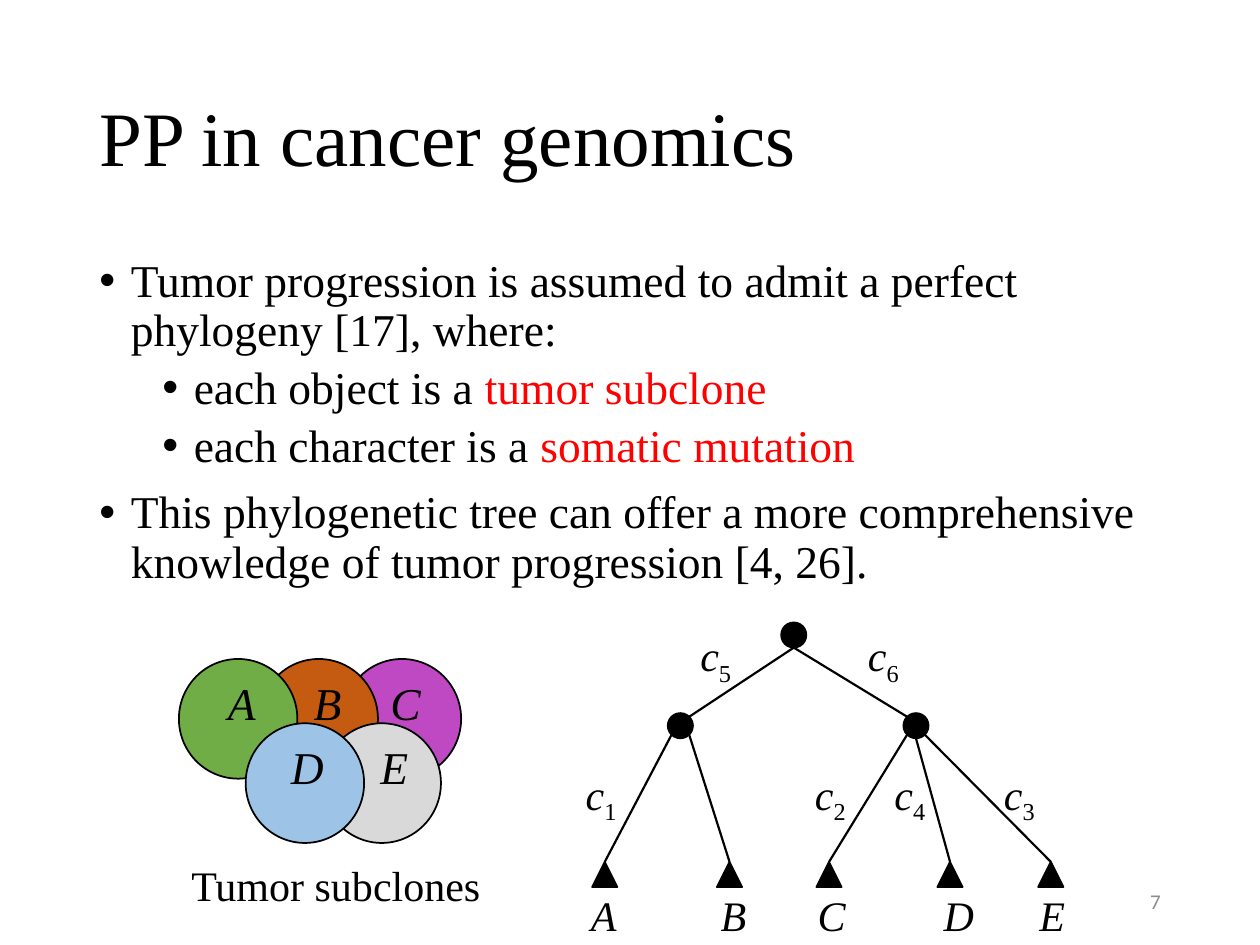
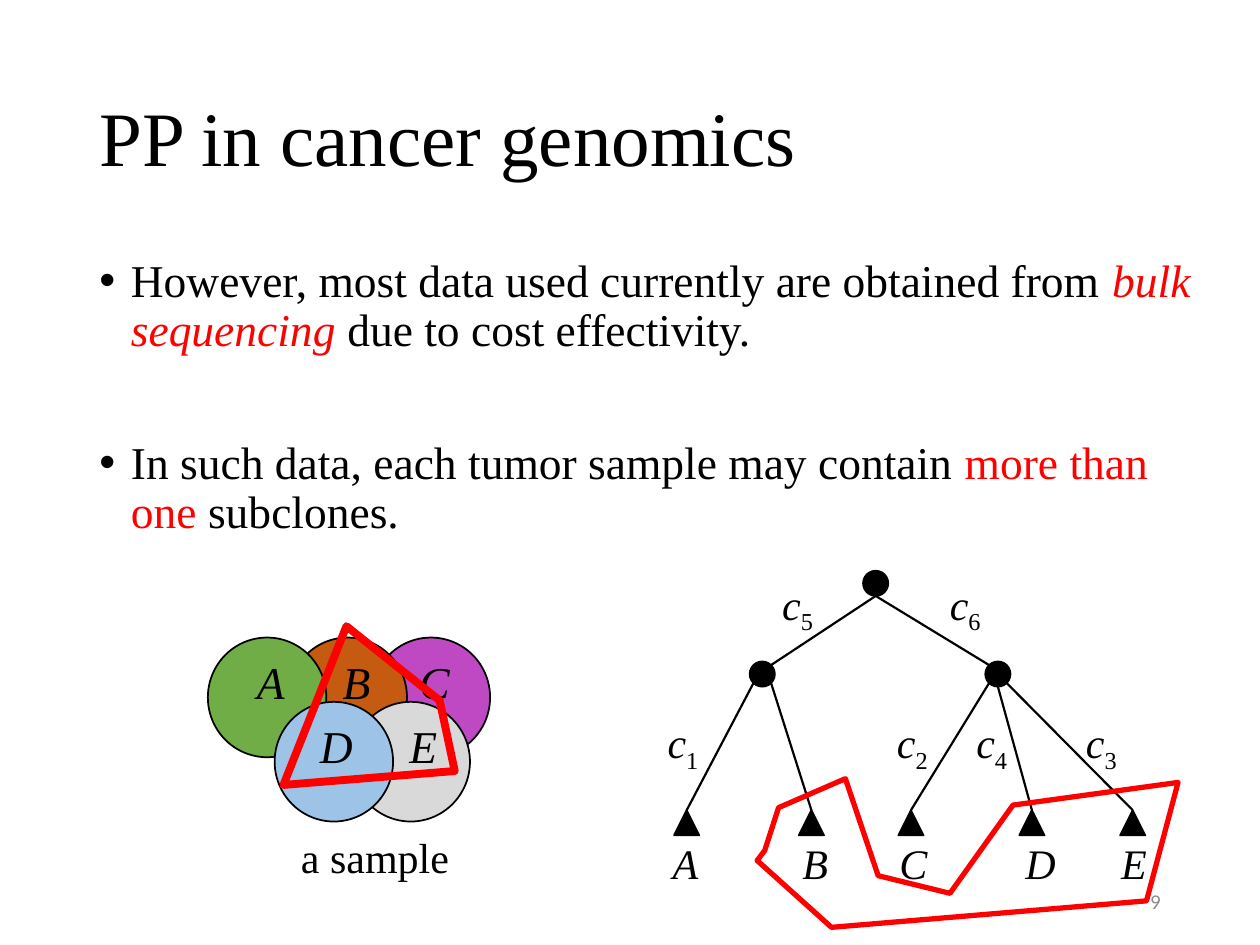
from dataclasses import dataclass
from math import sqrt
from typing import NamedTuple

from lxml.etree import SubElement
from pptx import Presentation
from pptx.dml.color import RGBColor
from pptx.enum.shapes import MSO_CONNECTOR, MSO_SHAPE
from pptx.enum.text import MSO_ANCHOR, MSO_AUTO_SIZE, PP_ALIGN
from pptx.oxml.ns import qn
from pptx.util import Inches, Pt


@dataclass(frozen=True)
class Theme:
    font: str = "Times New Roman"
    number_font: str = "Calibri"
    ink: str = "000000"
    accent: str = "FF0000"
    muted: str = "8C8C8C"
    title: int = 44
    body: int = 26
    label: int = 24
    number: int = 12
    outline: float = 1
    edge: float = 1.25


class Run(NamedTuple):
    text: str
    color: str = "000000"
    italic: bool = False
    subscript: bool = False


class Bullet(NamedTuple):
    runs: list[Run]
    level: int = 0
    before: int = 10


class Box(NamedTuple):
    x: float
    y: float
    w: float
    h: float


class Subclone(NamedTuple):
    name: str
    dx: float
    dy: float
    color: str
    label_dx: float
    label_w: float


class Leaf(NamedTuple):
    name: str
    dx: float
    parent_dx: float
    rim_dx: float
    label_dx: float
    label_w: float


class EdgeLabel(NamedTuple):
    number: str
    dx: float
    dy: float
    w: float = 0.46


class Outline(NamedTuple):
    points: list[tuple[float, float]]
    width: float


@dataclass(frozen=True)
class Page:
    number: str
    body: Box
    bullets: list[Bullet]
    cluster: tuple[float, float]
    caption: str
    caption_box: Box
    root: tuple[float, float]
    outlines: tuple[Outline, ...] = ()


T = Theme()
TITLE = "PP in cancer genomics"
CIRCLE_W, CIRCLE_H = 0.94, 0.95
NODE, RADIUS, RIM_DX = 0.2, 0.1, 0.07
CHILD_DX, CHILD_DY = (-0.9, 0.97), 0.72
LEAF_DY, LEAF_LABEL_DY = 1.8, 1.97

# Listed from back to front; places are relative to the cluster corner.
SUBCLONES = [
    Subclone("C", 1.3, 0, "BF49C2", 0.28, 0.45),
    Subclone("B", 0.64, 0, "C55A11", 0.33, 0.42),
    Subclone("E", 1.14, 0.51, "D9D9D9", 0.36, 0.42),
    Subclone("A", 0, 0, "70AD47", 0.29, 0.42),
    Subclone("D", 0.53, 0.51, "9DC3E6", 0.26, 0.46),
]
# Places are relative to the centre of the root.
LEAVES = [
    Leaf("A", -1.5, CHILD_DX[0], -RIM_DX, -1.71, 0.41),
    Leaf("B", -0.51, CHILD_DX[0], RIM_DX, -0.68, 0.41),
    Leaf("C", 0.28, CHILD_DX[1], -RIM_DX, 0.09, 0.43),
    Leaf("D", 1.24, CHILD_DX[1], 0, 1.09, 0.45),
    Leaf("E", 2.04, CHILD_DX[1], RIM_DX, 1.85, 0.41),
]
EDGE_LABELS = [
    EdgeLabel("6", 0.49, -0.09),
    EdgeLabel("5", -0.84, -0.09, 0.48),
    EdgeLabel("1", -1.75, 1.01),
    EdgeLabel("2", 0.07, 1.01),
    EdgeLabel("4", 0.7, 1.01),
    EdgeLabel("3", 1.57, 1.01),
]


def rgb(color: str) -> RGBColor:
    return RGBColor.from_string(color)


def add_run(p, run: Run, size: int, font: str = T.font) -> None:
    r = p.add_run()
    r.text = run.text
    r.font.name, r.font.size, r.font.italic = font, Pt(size), run.italic
    r.font.color.rgb = rgb(run.color)
    if run.subscript:
        r._r.get_or_add_rPr().set("baseline", "-25000")


def add_text_frame(shapes, box: Box, wrap: bool = True):
    tf = shapes.add_textbox(*map(Inches, box)).text_frame
    tf.word_wrap = wrap
    return tf


def add_label(shapes, box: Box, runs: list[Run], size: int = T.label) -> None:
    tf = add_text_frame(shapes, box, wrap=False)
    tf.auto_size = MSO_AUTO_SIZE.SHAPE_TO_FIT_TEXT
    for run in runs:
        add_run(tf.paragraphs[0], run, size)


def add_solid(shapes, kind: MSO_SHAPE, box: Box, fill: str):
    sp = shapes.add_shape(kind, *map(Inches, box))
    sp.shadow.inherit = False
    sp.fill.solid()
    sp.fill.fore_color.rgb = rgb(fill)
    sp.line.color.rgb, sp.line.width = rgb(T.ink), Pt(T.outline)
    return sp


def add_edge(shapes, x1: float, y1: float, x2: float, y2: float):
    line = shapes.add_connector(MSO_CONNECTOR.STRAIGHT, *map(Inches, (x1, y1, x2, y2)))
    line.line.color.rgb, line.line.width = rgb(T.ink), Pt(T.edge)
    SubElement(line._element.spPr, qn("a:effectLst"))
    return line


def rim_drop(dx: float) -> float:
    """Height of a node's rim above or below its centre, dx off the middle."""
    return sqrt(RADIUS ** 2 - dx ** 2)


def add_title(s) -> None:
    tf = add_text_frame(s.shapes, Box(0.69, 0.4, 8.62, 1.45))
    tf.vertical_anchor = MSO_ANCHOR.MIDDLE
    tf.paragraphs[0].line_spacing = 0.9
    add_run(tf.paragraphs[0], Run(TITLE), T.title)


def add_page_number(s, number: str) -> None:
    tf = add_text_frame(s.shapes, Box(7.06, 6.95, 2.25, 0.4))
    tf.vertical_anchor = MSO_ANCHOR.MIDDLE
    tf.paragraphs[0].alignment = PP_ALIGN.RIGHT
    add_run(tf.paragraphs[0], Run(number, T.muted), T.number, T.number_font)


def add_bullets(s, box: Box, bullets: list[Bullet]) -> None:
    tf = add_text_frame(s.shapes, box)
    for i, bullet in enumerate(bullets):
        p = tf.add_paragraph() if i else tf.paragraphs[0]
        p.level, p.line_spacing = bullet.level, 0.9
        p.space_before = Pt(bullet.before if i else 0)
        pPr = p._p.get_or_add_pPr()
        pPr.set("marL", str(Inches(0.25 + 0.5 * bullet.level)))
        pPr.set("indent", str(Inches(-0.25)))
        SubElement(pPr, qn("a:buFont"), typeface="Arial")
        SubElement(pPr, qn("a:buChar"), char="•")
        for run in bullet.runs:
            add_run(p, run, T.body)


def add_cluster(s, x: float, y: float) -> None:
    shapes = s.shapes.add_group_shape().shapes
    for c in SUBCLONES:
        add_solid(shapes, MSO_SHAPE.OVAL, Box(x + c.dx, y + c.dy, CIRCLE_W, CIRCLE_H), c.color)
    for c in SUBCLONES:
        box = Box(x + c.dx + c.label_dx, y + c.dy + 0.08, c.label_w, 0.54)
        add_label(shapes, box, [Run(c.name, italic=True)], T.body)


def add_tree(s, x: float, y: float) -> None:
    shapes = s.shapes.add_group_shape().shapes
    for dx, dy in [(0, 0), *((dx, CHILD_DY) for dx in CHILD_DX)]:
        box = Box(x + dx - RADIUS, y + dy - RADIUS, NODE, NODE)
        add_solid(shapes, MSO_SHAPE.OVAL, box, T.ink)
    for dx, rim_dx in zip(CHILD_DX, (RIM_DX, -RIM_DX)):
        add_edge(shapes, x, y + RADIUS, x + dx + rim_dx, y + CHILD_DY - rim_drop(rim_dx))
    for leaf in LEAVES:
        tip = x + leaf.dx, y + LEAF_DY
        triangle = add_solid(shapes, MSO_SHAPE.ISOSCELES_TRIANGLE,
                             Box(tip[0] - RADIUS, tip[1], NODE, NODE), T.ink)
        edge = add_edge(shapes, x + leaf.parent_dx + leaf.rim_dx,
                        y + CHILD_DY + rim_drop(leaf.rim_dx), *tip)
        edge.end_connect(triangle, 0)
        add_label(shapes, Box(x + leaf.label_dx, y + LEAF_LABEL_DY, leaf.label_w, 0.5),
                  [Run(leaf.name, italic=True)])
    for e in EDGE_LABELS:
        add_label(shapes, Box(x + e.dx, y + e.dy, e.w, 0.5),
                  [Run("c", italic=True), Run(e.number, subscript=True)])


def add_outline(s, outline: Outline) -> None:
    start, *rest = [(Inches(x), Inches(y)) for x, y in outline.points]
    builder = s.shapes.build_freeform(*start)
    builder.add_line_segments(rest, close=True)
    sp = builder.convert_to_shape()
    sp.shadow.inherit = False
    sp.fill.background()
    sp.line.color.rgb, sp.line.width = rgb(T.accent), Pt(outline.width)


PAGES = [
    Page(
        "7", Box(0.69, 2, 9.06, 2.52),
        [
            Bullet([Run("Tumor progression is assumed to admit a perfect phylogeny [17], where:")]),
            Bullet([Run("each object is a "), Run("tumor subclone", T.accent)], 1, 5),
            Bullet([Run("each character is a "), Run("somatic mutation", T.accent)], 1, 5),
            Bullet([Run("This phylogenetic tree can offer a more comprehensive "
                        "knowledge of tumor progression [4, 26].")]),
        ],
        (1.42, 5.23), "Tumor subclones", Box(1.42, 6.77, 2.49, 0.5), (6.3, 5.04),
    ),
    Page(
        "9", Box(0.69, 2, 8.99, 4.12),
        [
            Bullet([Run("However, most data used currently are obtained from "),
                    Run("bulk sequencing", T.accent, italic=True),
                    Run(" due to cost effectivity.")]),
            Bullet([Run("In such data, each tumor sample may contain "),
                    Run("more than one ", T.accent), Run("subclones.")], before=48),
        ],
        (1.65, 5.06), "a sample", Box(2.29, 6.55, 1.39, 0.5), (6.95, 4.63),
        (
            Outline([(2.75, 4.97), (2.25, 6.23), (3.61, 6.12), (3.49, 5.56)], 4.5),
            Outline([(6.18, 6.41), (6.71, 6.18), (6.97, 6.95), (7.54, 7.09), (8.04, 6.39),
                     (9.35, 6.21), (9.1, 7.15), (6.6, 7.36), (6.01, 6.83), (6.07, 6.75)], 3),
        ),
    ),
]


def main() -> None:
    prs = Presentation()
    prs.slide_width, prs.slide_height = Inches(10), Inches(7.5)
    for page in PAGES:
        s = prs.slides.add_slide(prs.slide_layouts[6])
        add_title(s)
        add_bullets(s, page.body, page.bullets)
        add_page_number(s, page.number)
        add_cluster(s, *page.cluster)
        add_label(s.shapes, page.caption_box, [Run(page.caption)])
        add_tree(s, *page.root)
        for outline in page.outlines:
            add_outline(s, outline)
    prs.save("out.pptx")


if __name__ == "__main__":
    main()
